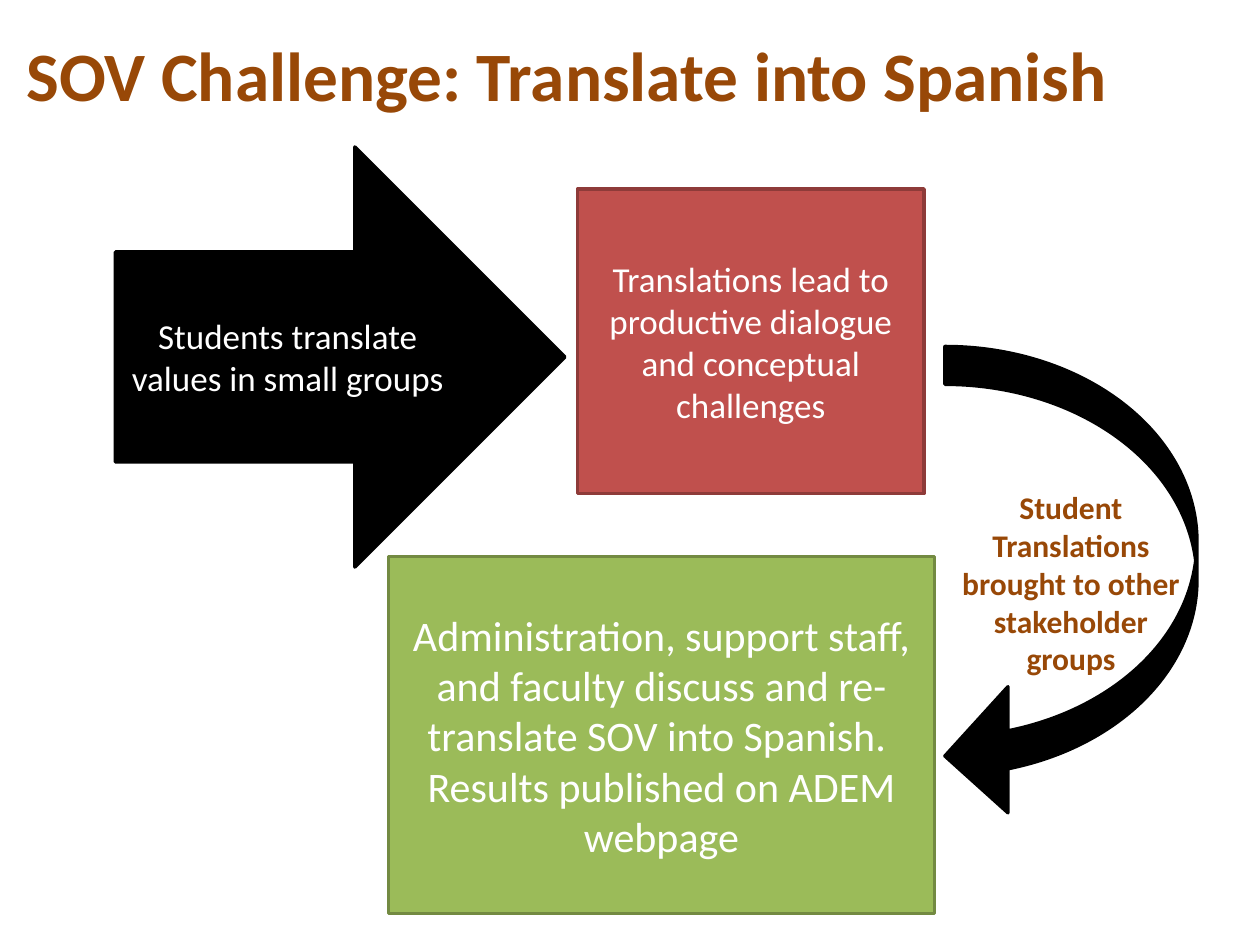
from pptx import Presentation
from pptx.dml.color import RGBColor
from pptx.enum.shapes import MSO_SHAPE as Shape
from pptx.enum.text import MSO_ANCHOR as Anchor, PP_ALIGN as Align
from pptx.util import Emu, Pt

PX = 7620  # EMU per px, 120 px to the inch
WHITE, BLACK, BROWN = "FFFFFF", "000000", "984807"


def color(value):
    return RGBColor.from_string(value)


def write(box, text, size, ink, bold=False):
    frame = box.text_frame
    frame.word_wrap = True
    frame.vertical_anchor = Anchor.MIDDLE
    para = frame.paragraphs[0]
    para.alignment = Align.CENTER
    span = para.add_run()
    span.text = text
    span.font.name = "Calibri"
    span.font.size = Pt(size)
    span.font.bold = bold
    span.font.color.rgb = color(ink)


deck = Presentation()
deck.slide_width, deck.slide_height = Emu(1200 * PX), Emu(900 * PX)
page = deck.slides.add_slide(deck.slide_layouts[5])

# Title
title = page.shapes.title
title.left, title.top, title.width, title.height = [
    Emu(n * PX) for n in (0, 20, 1080, 100)]
write(title, "SOV Challenge: Translate into Spanish", 39.6, BROWN, True)

# Process steps: shape, place, fill, line, text, size, ink, bold
steps = [
    (Shape.RIGHT_ARROW, (110, 140, 428, 400), BLACK, BLACK,
     "Students translate values in small groups", 20, WHITE, False),
    (Shape.RECTANGLE, (550, 180, 330, 290), "C0504D", "8E3B39",
     "Translations lead to productive dialogue and conceptual challenges",
     20, WHITE, False),
    (Shape.CURVED_LEFT_ARROW, (900, 330, 240, 450), BLACK, BLACK,
     "Student Translations brought to other stakeholder groups",
     18, BROWN, True),
    (Shape.RECTANGLE, (370, 530, 520, 340), "9BBB59", "738A42",
     "Administration, support staff, and faculty discuss and re-translate "
     "SOV into Spanish.  Results published on ADEM webpage",
     24, WHITE, False),
]
for kind, place, fill, line, text, size, ink, bold in steps:
    box = page.shapes.add_shape(kind, *[Emu(n * PX) for n in place])
    box.shadow.inherit = False
    box.fill.solid()
    box.fill.fore_color.rgb = color(fill)
    box.line.color.rgb = color(line)
    box.line.width = Pt(2)
    if kind == Shape.CURVED_LEFT_ARROW:
        for index, value in enumerate((0.15, 0.5, 0.25)):
            box.adjustments[index] = value
    write(box, text, size, ink, bold)

deck.save("out.pptx")
